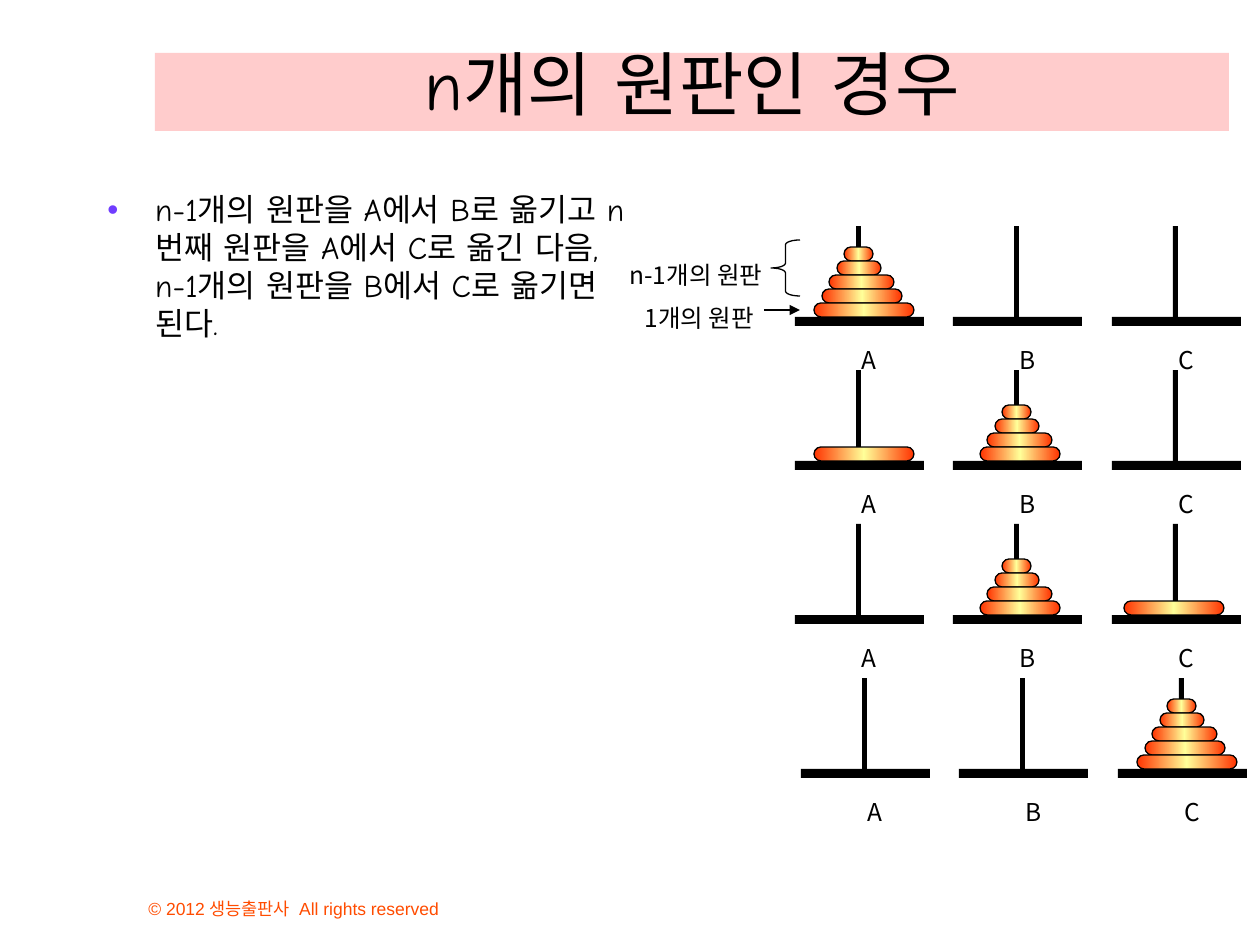
from dataclasses import dataclass

from lxml import etree
from pptx import Presentation
from pptx import util as u
from pptx.dml import color
from pptx.enum import shapes, text
from pptx.oxml import ns, parse_xml

PX = 914400 / 126
BLACK = "000000"
KOREAN = "Noto Sans CJK KR"
COMIC = "Comic Neue"
PEG_X = (0, 158, 317)
LABELS = (("A", 43), ("B", 40), ("C", 42))
DISC_WIDTHS = (29, 44, 65, 80, 100)
DISC_LEFTS = (49, 42, 34, 27, 19)
DISC_H = 14
FLOOR = 91


@dataclass
class Box:
    x: int
    y: int
    w: int
    h: int


@dataclass
class Stack:
    peg: int
    discs: tuple
    nudge: int = 0


@dataclass
class Row:
    x: int
    y: int
    stacks: tuple


ROWS = (
    Row(795, 226, (Stack(0, (0, 1, 2, 3, 4)),)),
    Row(795, 370, (Stack(0, (4,)), Stack(1, (0, 1, 2, 3)))),
    Row(795, 524, (Stack(1, (0, 1, 2, 3)), Stack(2, (4,), -7))),
    Row(801, 678, (Stack(2, (0, 1, 2, 3, 4)),)),
)


def px(n: int) -> int:
    return round(n * PX)


def emu(b: Box) -> tuple:
    return px(b.x), px(b.y), px(b.w), px(b.h)


def rgb(value: str) -> color.RGBColor:
    return color.RGBColor.from_string(value)


def put(obj, values: dict) -> None:
    for name, value in values.items():
        setattr(obj, name, value)


def outline(line) -> None:
    line.color.rgb = rgb(BLACK)
    line.width = u.Pt(0.75)


def add_text(tf, words: str, size: int, font: str = KOREAN, ink: str = BLACK, **frame):
    put(tf, frame)
    p = tf.paragraphs[0]
    r = p.add_run()
    r.text = words
    put(r.font, {"size": u.Pt(size), "name": font})
    r.font.color.rgb = rgb(ink)
    ea = etree.SubElement(r.font._element, ns.qn("a:ea"))
    ea.set("typeface", font)
    return p


def text_box(s, b: Box, words: str, size: int, font: str = KOREAN, ink: str = BLACK, **frame):
    tf = s.shapes.add_textbox(*emu(b)).text_frame
    return add_text(tf, words, size, font, ink, **frame)


def label(s, b: Box, words: str, wrap: bool = False) -> None:
    text_box(s, b, words, 14, word_wrap=wrap,
             auto_size=text.MSO_AUTO_SIZE.SHAPE_TO_FIT_TEXT)


def bar(s, b: Box, fill: str = BLACK):
    sp = s.shapes.add_shape(shapes.MSO_SHAPE.RECTANGLE, *emu(b))
    sp.shadow.inherit = False
    sp.fill.solid()
    sp.fill.fore_color.rgb = rgb(fill)
    sp.line.fill.background()
    return sp


def disc(s, b: Box) -> None:
    sp = s.shapes.add_shape(shapes.MSO_SHAPE.ROUNDED_RECTANGLE, *emu(b))
    sp.shadow.inherit = False
    sp.adjustments[0] = 0.5
    sp.fill.gradient()
    sp.fill.gradient_angle = 0
    stops = sp._element.spPr.find(".//" + ns.qn("a:gsLst"))
    stops.clear()
    for pos, value in ((0, "FF3300"), (50000, "FFFF99"), (100000, "FF3300")):
        gs = etree.SubElement(stops, ns.qn("a:gs"), pos=str(pos))
        etree.SubElement(gs, ns.qn("a:srgbClr"), val=value)
    outline(sp.line)


def towers(s, row: Row) -> None:
    for dx, (name, width) in zip(PEG_X, LABELS):
        x = row.x + dx
        bar(s, Box(x, row.y + FLOOR, 129, 9))
        bar(s, Box(x + 61, row.y, 5, 94))
        label(s, Box(x + 54, row.y + 113, width, 42), name)
    for stack in row.stacks:
        left = row.x + PEG_X[stack.peg] + stack.nudge
        top = row.y + FLOOR - DISC_H * len(stack.discs)
        for i, size in enumerate(stack.discs):
            disc(s, Box(left + DISC_LEFTS[size], top + DISC_H * i, DISC_WIDTHS[size], DISC_H))


def bullet(p) -> None:
    pPr = p._p.get_or_add_pPr()
    put_indent = {"marL": str(u.Inches(0.38)), "indent": str(-u.Inches(0.38))}
    for name, value in put_indent.items():
        pPr.set(name, value)
    clr = etree.SubElement(pPr, ns.qn("a:buClr"))
    etree.SubElement(clr, ns.qn("a:srgbClr"), val="703DFF")
    etree.SubElement(pPr, ns.qn("a:buFont"), typeface="Arial")
    etree.SubElement(pPr, ns.qn("a:buChar"), char="•")


def notes_on_first_tower(s) -> None:
    brace = s.shapes.add_shape(shapes.MSO_SHAPE.LEFT_BRACE, *emu(Box(771, 240, 29, 56)))
    brace.shadow.inherit = False
    brace.adjustments[0] = 0.167
    brace.fill.background()
    outline(brace.line)
    label(s, Box(617, 254, 228, 42), "n-1개의 원판", True)
    label(s, Box(632, 297, 147, 42), "1개의 원판")
    arrow = s.shapes.add_connector(shapes.MSO_CONNECTOR.STRAIGHT,
                                   px(764), px(310), px(800), px(310))
    outline(arrow.line)
    etree.SubElement(arrow.line._get_or_add_ln(), ns.qn("a:tailEnd"), type="triangle")
    arrow._element.spPr.append(parse_xml(f"<a:effectLst {ns.nsdecls('a')}/>"))


def main() -> None:
    prs = Presentation()
    put(prs, {"slide_width": px(1260), "slide_height": px(945)})
    s = prs.slides.add_slide(prs.slide_layouts[6])
    bottom = {"word_wrap": True, "vertical_anchor": text.MSO_ANCHOR.BOTTOM}
    text_box(s, Box(136, 872, 483, 53), "© 2012 생능출판사  All rights reserved",
             10, "Arial", "FF4C00", **bottom)
    title = bar(s, Box(155, 53, 1074, 78), "FFCCCC")
    p = add_text(title.text_frame, "n개의 원판인 경우", 40, COMIC, **bottom)
    p.alignment = text.PP_ALIGN.CENTER
    p = text_box(s, Box(95, 184, 554, 572),
                 "n-1개의 원판을 A에서 B로 옮기고 n번째 원판을 A에서 C로 옮긴 다음, "
                 "n-1개의 원판을 B에서 C로 옮기면 된다.", 18, COMIC, word_wrap=True)
    bullet(p)
    for row in ROWS:
        towers(s, row)
    notes_on_first_tower(s)
    prs.save("out.pptx")


if __name__ == "__main__":
    main()
